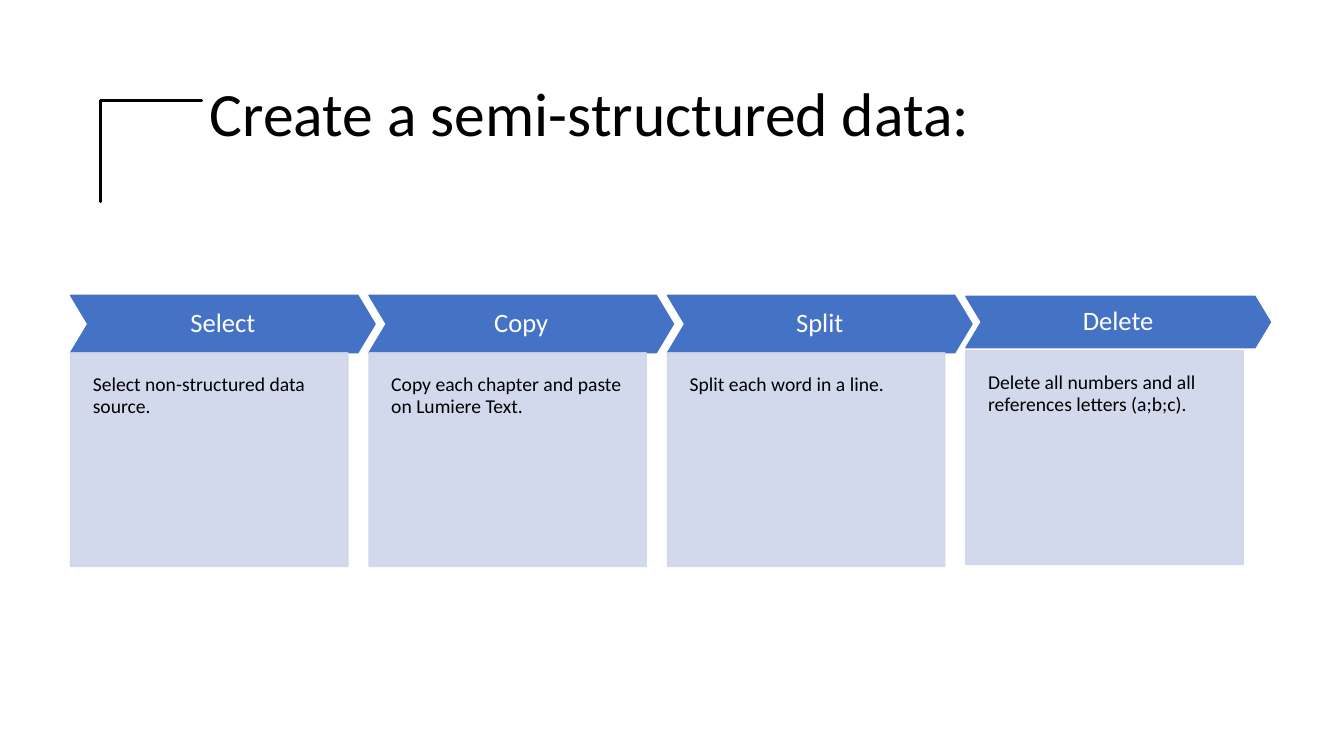
from math import cos, pi, sin

from lxml import etree
from pptx import Presentation
from pptx.dml.color import RGBColor
from pptx.enum.shapes import MSO_SHAPE
from pptx.enum.text import MSO_ANCHOR, PP_ALIGN
from pptx.oxml.ns import qn
from pptx.util import Inches, Pt

CHEVRON, RECTANGLE = MSO_SHAPE.CHEVRON, MSO_SHAPE.RECTANGLE
TOP, MIDDLE = MSO_ANCHOR.TOP, MSO_ANCHOR.MIDDLE
LEFT, CENTER = PP_ALIGN.LEFT, PP_ALIGN.CENTER

# Content
TITLE = "Create a semi-structured data:"
STEPS = [
    ("Select", "Select non-structured data source."),
    ("Copy", "Copy each chapter and paste on Lumiere Text."),
    ("Split", "Split each word in a line."),
    ("Delete", "Delete all numbers and all references letters (a;b;c)."),
]
HEXAGONS = [(0.885, 1.285, 0.38), (1.45, 0.955, 0.31)]  # centre x, y, side

# Layout in inches
FIRST_LEFT, STEP_PITCH = 0.7, 2.96
CHEVRON_WIDTH, BOX_WIDTH, BOX_HEIGHT = 3.02, 2.75, 2.12
STEP_ROWS = (2.93, 0.57, 3.5)  # header top, header height, box top
LAST_ROWS = (2.94, 0.51, 3.48)
HEADER_INSETS = (0.11, 0.11, 0.11, 0.11)
BOX_INSETS = (0.22, 0.22, 0.22, 0.43)

# Style
FONT = "Calibri"
BLACK, WHITE, BLUE, PALE = "000000", "FFFFFF", "4472C4", "CFD5EA"
CORNER_CUT, CORNER_POINTS = 0.1, 6


def color(hex_value):
    return RGBColor.from_string(hex_value)


def write(shape, text, size, text_color, align, anchor):
    frame = shape.text_frame
    frame.word_wrap = True
    frame.vertical_anchor = anchor
    frame.text = text
    paragraph = frame.paragraphs[0]
    paragraph.alignment = align
    paragraph.line_spacing = 0.9
    paragraph.font.name = FONT
    paragraph.font.size = Pt(size)
    paragraph.font.color.rgb = color(text_color)


def add_panel(kind, box, fill, insets):
    panel = slide.shapes.add_shape(kind, *map(Inches, box))
    panel.shadow.inherit = False
    panel.fill.solid()
    panel.fill.fore_color.rgb = color(fill)
    panel.line.color.rgb = color(fill)
    panel.line.width = Pt(1)
    frame = panel.text_frame
    frame.margin_left, frame.margin_top, frame.margin_right, frame.margin_bottom = map(Inches, insets)
    return panel


def set_opacity(shape, percent):
    for fill_color in shape._element.spPr.iter(qn("a:srgbClr")):
        etree.SubElement(fill_color, qn("a:alpha"), val=str(percent * 1000))


def rounded_hexagon(center_x, center_y, side):
    corners = [(center_x + side * cos(k * pi / 3), center_y + side * sin(k * pi / 3))
               for k in range(6)]
    points = []
    for k, corner in enumerate(corners):
        before, after = corners[k - 1], corners[(k + 1) % 6]
        for n in range(CORNER_POINTS + 1):
            t = n / CORNER_POINTS
            points.append(tuple(
                c + CORNER_CUT * ((1 - t) ** 2 * (b - c) + t ** 2 * (a - c))
                for b, c, a in zip(before, corner, after)))
    return points


prs = Presentation()
prs.slide_width, prs.slide_height = Inches(13.33), Inches(7.5)
slide = prs.slides.add_slide(prs.slide_layouts[5])

# Title
title = slide.shapes.title
title.left, title.top, title.width, title.height = map(Inches, (1.98, 0.57, 10.81, 1.17))
write(title, TITLE, 44, BLACK, LEFT, MIDDLE)

# Hexagon ornament
for hexagon in HEXAGONS:
    start, *others = rounded_hexagon(*hexagon)
    builder = slide.shapes.build_freeform(*start, scale=Inches(1))
    builder.add_line_segments(others, close=True)
    outline = builder.convert_to_shape()
    outline.shadow.inherit = False
    outline.fill.background()
    outline.line.color.rgb = color(BLACK)
    outline.line.width = Pt(2.25)

# Process steps
for index, (heading, detail) in enumerate(STEPS):
    left = FIRST_LEFT + index * STEP_PITCH
    is_last = index == len(STEPS) - 1
    header_top, header_height, box_top = LAST_ROWS if is_last else STEP_ROWS

    header = add_panel(CHEVRON, (left, header_top, CHEVRON_WIDTH, header_height), BLUE, HEADER_INSETS)
    header.adjustments[0] = 0.3
    write(header, heading, 19, WHITE, CENTER, MIDDLE)

    box = add_panel(RECTANGLE, (left, box_top, BOX_WIDTH, BOX_HEIGHT), PALE, BOX_INSETS)
    set_opacity(box, 90)
    write(box, detail, 14, BLACK, LEFT, TOP)

prs.save("out.pptx")
